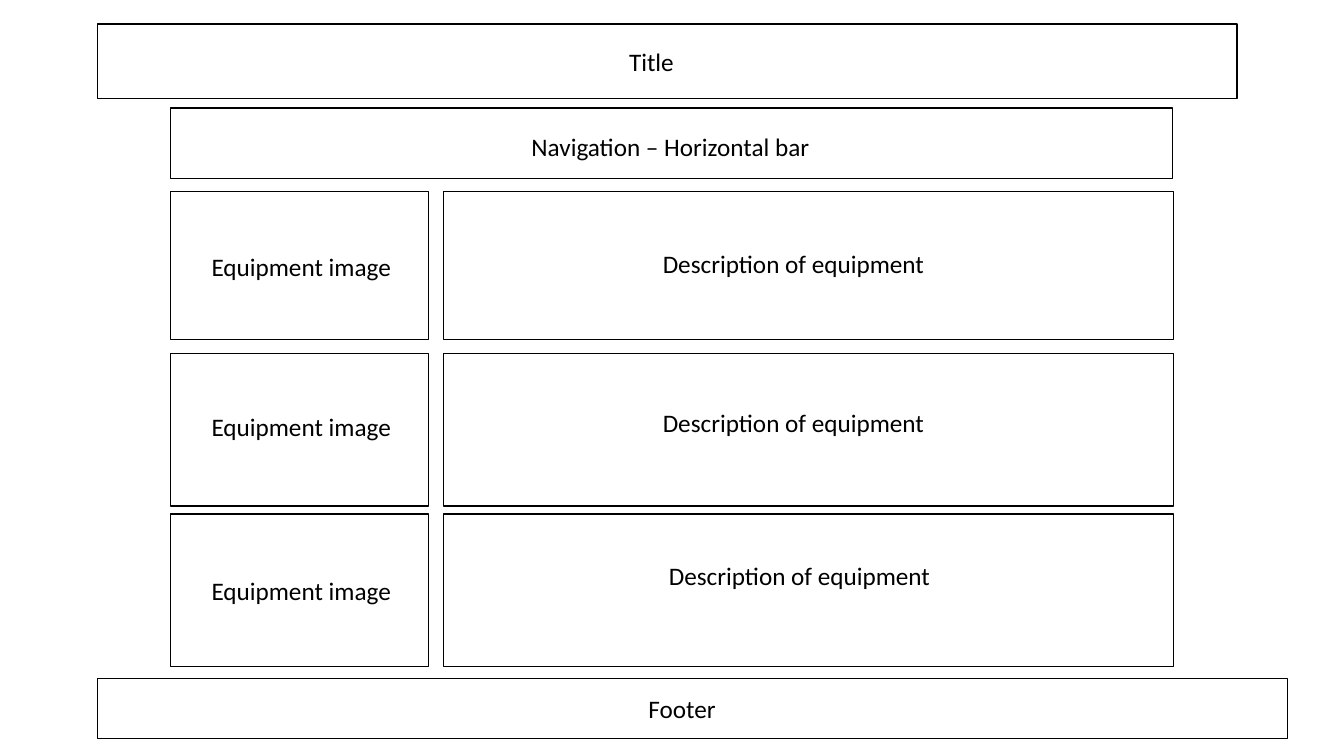
"""Build a wireframe slide for an equipment page layout."""
from pptx import Presentation
from pptx.dml.color import RGBColor
from pptx.enum.shapes import MSO_SHAPE
from pptx.enum.text import MSO_AUTO_SIZE, PP_ALIGN
from pptx.util import Inches, Pt

COLORS = {"ink": "000000", "paper": "FFFFFF"}

prs = Presentation()
prs.slide_width = Inches(13.33)
prs.slide_height = Inches(7.5)
s = prs.slides.add_slide(prs.slide_layouts[6])


def add_box(x, y, w, h, filled=True):
    sp = s.shapes.add_shape(MSO_SHAPE.RECTANGLE, Inches(x), Inches(y), Inches(w), Inches(h))
    sp.shadow.inherit = False
    if filled:
        sp.fill.solid()
        sp.fill.fore_color.rgb = RGBColor.from_string(COLORS["paper"])
    else:
        sp.fill.background()
    sp.line.color.rgb = RGBColor.from_string(COLORS["ink"])
    sp.line.width = Pt(1)


def add_label(text, x, y, w, align=PP_ALIGN.CENTER):
    tf = s.shapes.add_textbox(Inches(x), Inches(y), Inches(w), Inches(0.4)).text_frame
    tf.word_wrap = True
    tf.auto_size = MSO_AUTO_SIZE.SHAPE_TO_FIT_TEXT
    p = tf.paragraphs[0]
    p.alignment = align
    r = p.add_run()
    r.text = text
    r.font.name = "Calibri"
    r.font.size = Pt(18)
    r.font.color.rgb = RGBColor.from_string(COLORS["ink"])


add_box(0.97, 0.24, 11.3, 0.74, filled=False)
add_label("Title", 6.14, 0.41, 0.95, PP_ALIGN.LEFT)
add_box(1.69, 1.07, 9.94, 0.7)
add_label("Navigation – Horizontal bar", 1.75, 1.25, 9.8)
add_box(0.97, 6.73, 11.8, 0.6)
add_label("Footer", 0.97, 6.83, 11.59)

equipment_rows = [
    (1.9, 1.47, 2.44, 4.25, 2.41),
    (3.51, 1.51, 4.03, 4.25, 3.99),
    (5.1, 1.51, 5.66, 4.31, 5.51),
]
for top, height, image_y, description_x, description_y in equipment_rows:
    add_box(1.69, top, 2.56, height)
    add_box(4.4, top, 7.24, height)
    add_label("Equipment image", 2, image_y, 2.56, PP_ALIGN.LEFT)
    add_label("Description of equipment", description_x, description_y, 7.24)

prs.save("out.pptx")
